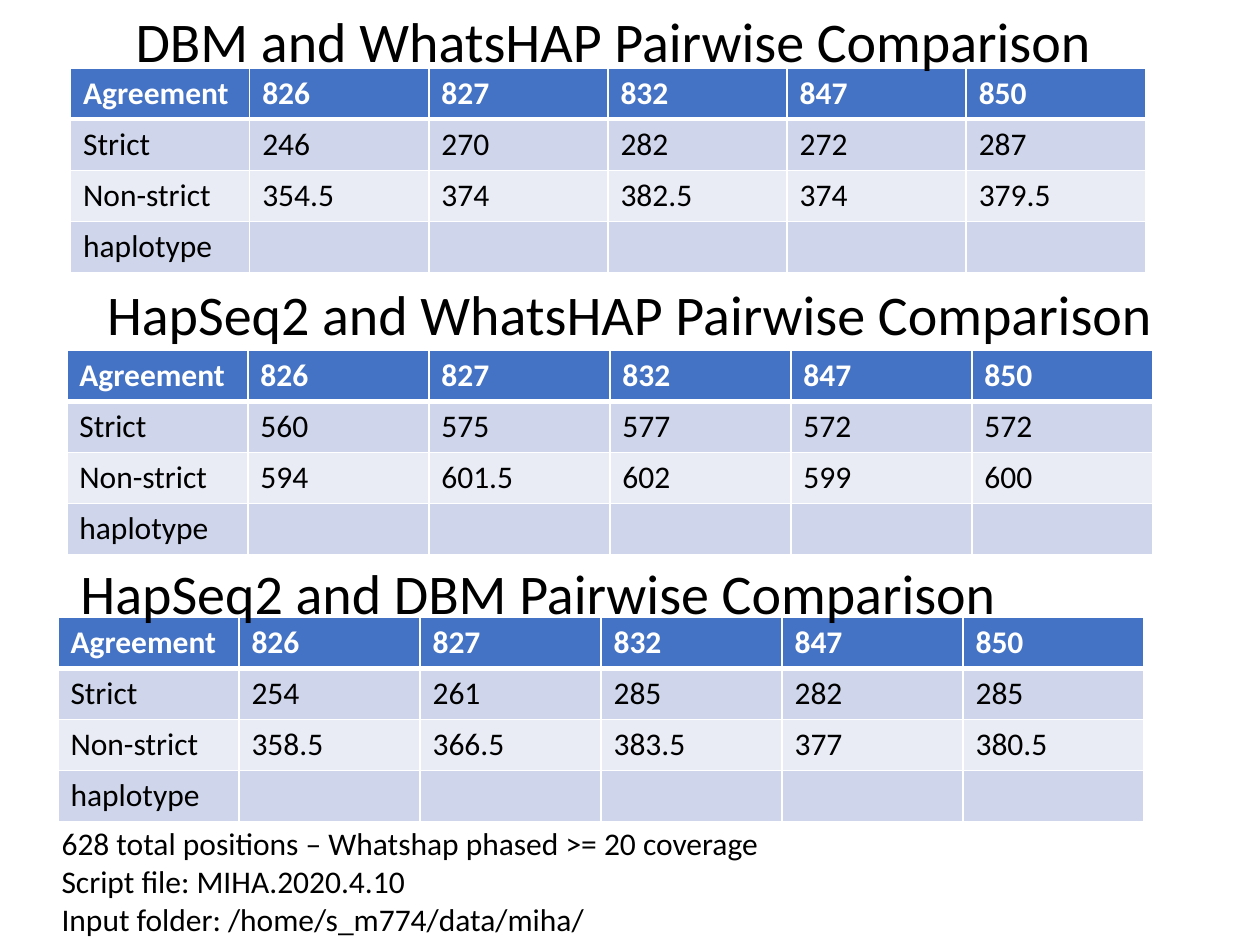
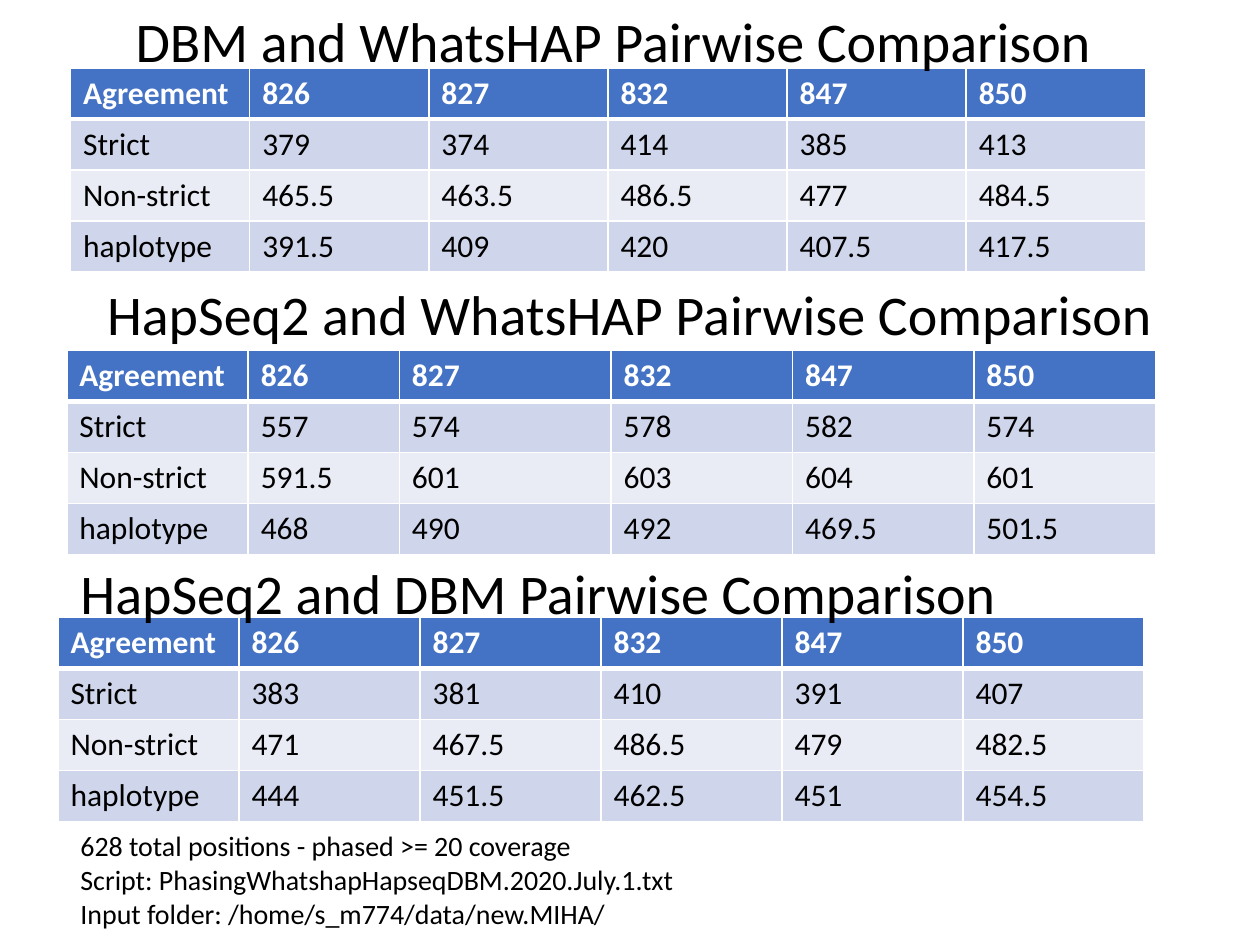
from lxml.etree import SubElement
from pptx import Presentation
from pptx.dml.color import RGBColor
from pptx.enum.text import MSO_AUTO_SIZE, PP_ALIGN
from pptx.oxml.ns import qn
from pptx.util import Inches, Pt

FONT = "Calibri"
BLACK = RGBColor(0x00, 0x00, 0x00)
WHITE = RGBColor(0xFF, 0xFF, 0xFF)
HEADER_BLUE = RGBColor(0x44, 0x72, 0xC4)
BAND_DARK = RGBColor(0xCF, 0xD5, 0xEA)
BAND_LIGHT = RGBColor(0xE9, 0xEB, 0xF5)

HEADER = ["Agreement", "826", "827", "832", "847", "850"]
MEASURES = ["Strict", "Non-strict", "haplotype"]
TABLE_HEIGHT = 1.62
UNEVEN_WIDTHS = [1.44, 1.2, 1.68, 1.44, 1.44, 1.44]

# title, title box, title alignment, table left, top and width
SECTIONS = [
    ("DBM and WhatsHAP Pairwise Comparison",
     (0.56, 0, 8.62, 0.64), PP_ALIGN.CENTER, (0.56, 0.54, 8.53)),
    ("HapSeq2 and WhatsHAP Pairwise Comparison",
     (0.69, 2.17, 8.62, 0.64), PP_ALIGN.CENTER, (0.53, 2.78, 8.62)),
    ("HapSeq2 and DBM Pairwise Comparison",
     (0.54, 4.38, 9.5, 0.64), PP_ALIGN.LEFT, (0.46, 4.9, 8.62)),
]

APRIL_COUNTS = [
    [[246, 270, 282, 272, 287], [354.5, 374, 382.5, 374, 379.5]],
    [[560, 575, 577, 572, 572], [594, 601.5, 602, 599, 600]],
    [[254, 261, 285, 282, 285], [358.5, 366.5, 383.5, 377, 380.5]],
]
APRIL_NOTES = [
    "628 total positions – Whatshap phased >= 20 coverage",
    "Script file: MIHA.2020.4.10",
    "Input folder: /home/s_m774/data/miha/",
]

JULY_COUNTS = [
    [[379, 374, 414, 385, 413], [465.5, 463.5, 486.5, 477, 484.5],
     [391.5, 409, 420, 407.5, 417.5]],
    [[557, 574, 578, 582, 574], [591.5, 601, 603, 604, 601],
     [468, 490, 492, 469.5, 501.5]],
    [[383, 381, 410, 391, 407], [471, 467.5, 486.5, 479, 482.5],
     [444, 451.5, 462.5, 451, 454.5]],
]
JULY_NOTES = [
    "628 total positions - phased >= 20 coverage",
    "Script: PhasingWhatshapHapseqDBM.2020.July.1.txt",
    "Input folder: /home/s_m774/data/new.MIHA/",
]


def add_run(p, text, size, color=BLACK, bold=False):
    """Add one formatted run to a paragraph."""
    r = p.add_run()
    r.text = text
    r.font.name = FONT
    r.font.size = Pt(size)
    r.font.bold = bold
    r.font.color.rgb = color


def add_text(s, box, lines, size, align=PP_ALIGN.LEFT):
    """Add a text box with one paragraph per line."""
    sp = s.shapes.add_textbox(*map(Inches, box))
    tf = sp.text_frame
    tf.word_wrap = True
    tf.auto_size = MSO_AUTO_SIZE.SHAPE_TO_FIT_TEXT
    for i, line in enumerate(lines):
        p = tf.add_paragraph() if i else tf.paragraphs[0]
        p.alignment = align
        add_run(p, line, size)


def set_borders(cell, row):
    """Draw white cell borders, thick between the header and the body."""
    widths = {"a:lnL": 1, "a:lnR": 1,
              "a:lnT": 3 if row == 1 else 1, "a:lnB": 3 if row == 0 else 1}
    tcPr = cell._tc.get_or_add_tcPr()
    for tag, width in widths.items():
        ln = SubElement(tcPr, qn(tag), w=str(Pt(width)))
        fill = SubElement(ln, qn("a:solidFill"))
        SubElement(fill, qn("a:srgbClr"), val=str(WHITE))


def style_cell(cell, row, text):
    """Set the borders, fill and text of one cell."""
    set_borders(cell, row)
    cell.fill.solid()
    if row == 0:
        cell.fill.fore_color.rgb = HEADER_BLUE
    else:
        cell.fill.fore_color.rgb = BAND_DARK if row % 2 else BAND_LIGHT
    if text:
        add_run(cell.text_frame.paragraphs[0], text, 18,
                BLACK if row else WHITE, row == 0)


def add_agreement_table(s, place, counts, widths=None):
    """Add the table of agreement counts per sample."""
    left, top, width = place
    rows = [HEADER]
    for i, measure in enumerate(MEASURES):
        values = counts[i] if i < len(counts) else [""] * (len(HEADER) - 1)
        rows.append([measure, *map(str, values)])
    frame = s.shapes.add_table(len(rows), len(HEADER), Inches(left), Inches(top),
                               Inches(width), Inches(TABLE_HEIGHT))
    table = frame.table
    widths = widths or [width / len(HEADER)] * len(HEADER)
    for column, column_width in zip(table.columns, widths):
        column.width = Inches(column_width)
    for row, texts in enumerate(rows):
        table.rows[row].height = Inches(TABLE_HEIGHT / len(rows))
        for col, text in enumerate(texts):
            style_cell(table.cell(row, col), row, text)


def add_comparison_slide(prs, counts, notes, notes_box, notes_size, widths=None):
    """Add a slide with the three pairwise comparisons and their notes."""
    s = prs.slides.add_slide(prs.slide_layouts[6])
    for i, (title, box, align, place) in enumerate(SECTIONS):
        add_agreement_table(s, place, counts[i], widths if i == 1 else None)
        add_text(s, box, [title], 32, align)
    add_text(s, notes_box, notes, notes_size)


def main():
    """Build and save the presentation."""
    prs = Presentation()
    prs.slide_width = Inches(10)
    prs.slide_height = Inches(7.5)
    add_comparison_slide(prs, APRIL_COUNTS, APRIL_NOTES,
                         (0.39, 6.49, 8.62, 1.01), 18)
    add_comparison_slide(prs, JULY_COUNTS, JULY_NOTES,
                         (0.54, 6.53, 8.62, 0.91), 16, UNEVEN_WIDTHS)
    prs.save("out.pptx")


if __name__ == "__main__":
    main()
